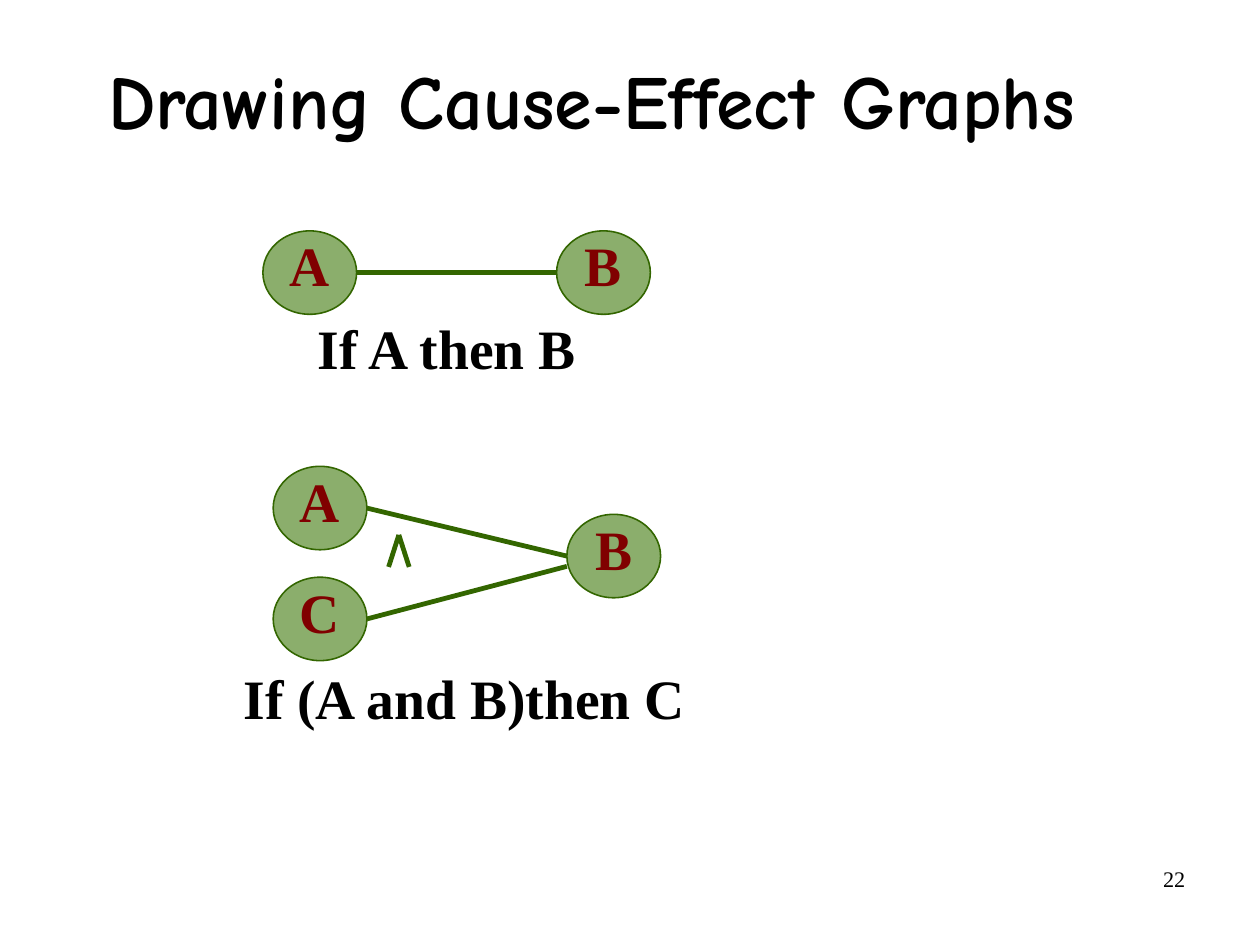
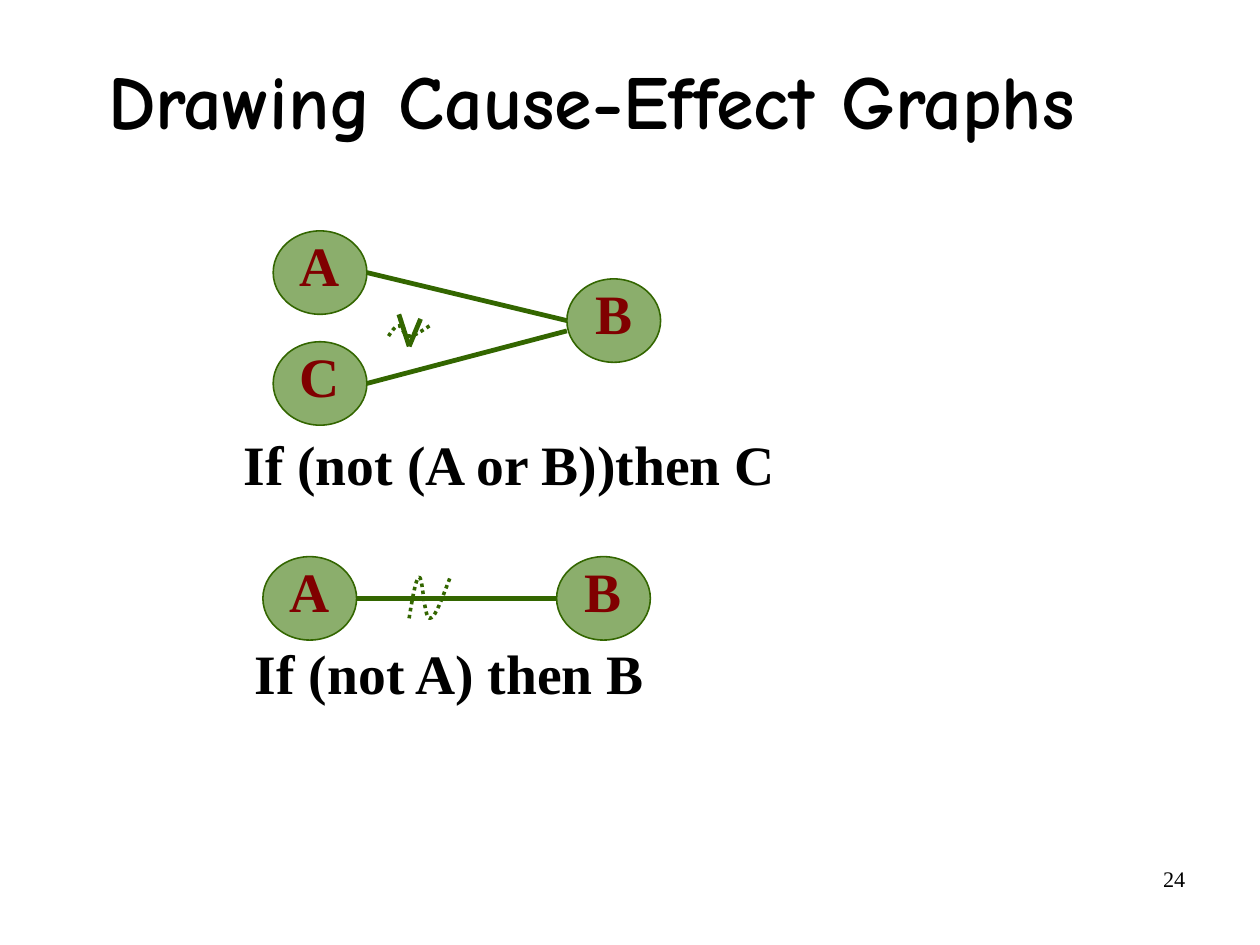
"""Build two slides that show how cause-effect graphs are drawn."""
from typing import NamedTuple

from pptx import Presentation
from pptx.dml.color import RGBColor
from pptx.enum.dml import MSO_LINE
from pptx.enum.shapes import MSO_CONNECTOR, MSO_SHAPE
from pptx.enum.text import MSO_ANCHOR, MSO_AUTO_SIZE, PP_ALIGN
from pptx.oxml.ns import qn
from pptx.slide import Slide
from pptx.text.text import TextFrame
from pptx.util import Inches, Pt

WHITE = RGBColor(0xFF, 0xFF, 0xFF)
BLACK = RGBColor(0x00, 0x00, 0x00)
NODE_FILL = RGBColor(0x8B, 0xAE, 0x6C)
EDGE_GREEN = RGBColor(0x33, 0x66, 0x00)
LABEL_RED = RGBColor(0x80, 0x00, 0x00)

SLIDE_WIDTH, SLIDE_HEIGHT = Pt(793.75), Pt(595.25)
TITLE = "Drawing Cause-Effect Graphs"
TITLE_FONT = "Comic Neue"
BODY_FONT = "Times New Roman"
NODE_WIDTH, NODE_HEIGHT = 0.82, 0.73
NODE_GAP = 2.57
SINGLE_LEFT, JOINED_LEFT = 2.3, 2.39
EFFECT_DROP, SECOND_DROP = 0.42, 0.97
EDGE_SPREAD = 0.09
TITLE_ONLY = 5

Point = tuple[float, float]


class TextStyle(NamedTuple):
    """Font and paragraph settings of a text."""
    size: float
    color: RGBColor = BLACK
    font: str = BODY_FONT
    bold: bool = True
    align: PP_ALIGN = PP_ALIGN.LEFT
    spacing: float = 1.0
    before: float = 0
    anchor: MSO_ANCHOR = MSO_ANCHOR.TOP
    inset_x: float = 0.02
    inset_y: float = 0.06


TITLE_STYLE = TextStyle(48, font=TITLE_FONT, align=PP_ALIGN.CENTER, spacing=0.94,
                        before=5.2, anchor=MSO_ANCHOR.MIDDLE)
NODE_STYLE = TextStyle(35, LABEL_RED, align=PP_ALIGN.CENTER, spacing=0.72,
                       before=7.9, anchor=MSO_ANCHOR.MIDDLE)
CAPTION_STYLE = TextStyle(35, spacing=0.72, before=20.1)
NUMBER_STYLE = TextStyle(14, bold=False, align=PP_ALIGN.RIGHT, inset_x=0.1, inset_y=0.05)


class Caption(NamedTuple):
    """Text with its place."""
    text: str
    left: float
    top: float
    width: float


class Wave(NamedTuple):
    """Dotted negation sign."""
    left: float
    top: float
    height: float


class Graph(NamedTuple):
    """Cause-effect graph with one or two causes."""
    top: float
    causes: str
    caption: Caption
    operator: tuple[Point, ...] = ()
    negation: Wave | None = None


class Page(NamedTuple):
    """Slide number and the graphs on the slide."""
    number: str
    graphs: tuple[Graph, ...]


PAGES = (
    Page("22", (
        Graph(2.02, "A", Caption("If A then B", 2.76, 2.84, 3.67)),
        Graph(4.08, "AC", Caption("If (A and B)then C", 2.11, 5.9, 4.77),
              operator=((3.4, 4.96), (3.49, 4.68), (3.58, 4.96))),
    )),
    Page("24", (
        Graph(2.02, "AC", Caption("If (not (A or B))then C", 2.11, 3.85, 5.32),
              operator=((3.49, 2.75), (3.58, 3.03), (3.68, 2.79)),
              negation=Wave(3.4, 2.85, 0.09)),
        Graph(4.87, "A", Caption("If (not A) then B", 2.21, 5.68, 4.04),
              negation=Wave(3.58, 5.05, 0.36)),
    )),
)
WAVE_CURVES = (
    ((0, 1), (0.03, 0.5), (0.06, 0), (0.09, 0)),
    ((0.09, 0), (0.12, 0), (0.13, 1), (0.18, 1)),
    ((0.18, 1), (0.23, 1), (0.29, 0.5), (0.36, 0)),
)
CURVE_STEPS = 10


def write(frame: TextFrame, text: str, style: TextStyle) -> None:
    """Fill a text frame with one styled run."""
    frame.auto_size = MSO_AUTO_SIZE.NONE
    frame.word_wrap = True
    frame.vertical_anchor = style.anchor
    frame.margin_left = frame.margin_right = Inches(style.inset_x)
    frame.margin_top = frame.margin_bottom = Inches(style.inset_y)
    paragraph = frame.paragraphs[0]
    paragraph.alignment = style.align
    paragraph.line_spacing = style.spacing
    paragraph.space_before = Pt(style.before)
    run = paragraph.add_run()
    run.text = text
    run.font.name = style.font
    run.font.size = Pt(style.size)
    run.font.bold = style.bold
    run.font.color.rgb = style.color


def add_text(slide: Slide, caption: Caption, height: float, style: TextStyle) -> None:
    """Add a text box."""
    box = slide.shapes.add_textbox(Inches(caption.left), Inches(caption.top),
                                   Inches(caption.width), Inches(height))
    write(box.text_frame, caption.text, style)


def add_title(slide: Slide) -> None:
    """Place and fill the title placeholder."""
    title = slide.shapes.title
    title.left, title.top = Inches(0.49), Inches(0.22)
    title.width, title.height = Inches(9.37), Inches(1.37)
    write(title.text_frame, TITLE, TITLE_STYLE)


def add_node(slide: Slide, label: str, left: float, top: float) -> None:
    """Add a labelled ellipse."""
    node = slide.shapes.add_shape(MSO_SHAPE.OVAL, Inches(left), Inches(top),
                                  Inches(NODE_WIDTH), Inches(NODE_HEIGHT))
    node.shadow.inherit = False
    node.fill.solid()
    node.fill.fore_color.rgb = NODE_FILL
    node.line.color.rgb = EDGE_GREEN
    node.line.width = Pt(1)
    write(node.text_frame, label, NODE_STYLE)


def add_edge(slide: Slide, start: Point, end: Point) -> None:
    """Add a straight green line."""
    edge = slide.shapes.add_connector(MSO_CONNECTOR.STRAIGHT,
                                      *(Inches(value) for value in start + end))
    edge.line.color.rgb = EDGE_GREEN
    edge.line.width = Pt(3)
    properties = edge._element.spPr
    properties.append(properties.makeelement(qn("a:effectLst"), {}))


def curve_point(curve: tuple[Point, ...], t: float) -> Point:
    """Return the point of a cubic curve at t."""
    weights = ((1 - t) ** 3, 3 * t * (1 - t) ** 2, 3 * t * t * (1 - t), t ** 3)
    return (sum(w * x for w, (x, _) in zip(weights, curve)),
            sum(w * y for w, (_, y) in zip(weights, curve)))


def add_wave(slide: Slide, wave: Wave) -> None:
    """Add a dotted negation wave."""
    unit_points = [curve_point(curve, step / CURVE_STEPS)
                   for curve in WAVE_CURVES for step in range(CURVE_STEPS + 1)]
    points = [(Inches(wave.left + x), Inches(wave.top + wave.height * y))
              for x, y in unit_points]
    builder = slide.shapes.build_freeform(*points[0])
    builder.add_line_segments(points[1:], close=False)
    sign = builder.convert_to_shape()
    sign.shadow.inherit = False
    sign.fill.background()
    sign.line.color.rgb = EDGE_GREEN
    sign.line.width = Pt(2.25)
    sign.line.dash_style = MSO_LINE.ROUND_DOT


def add_graph(slide: Slide, graph: Graph) -> None:
    """Draw nodes, edges, signs and the caption of a graph."""
    joined = len(graph.causes) > 1
    left = JOINED_LEFT if joined else SINGLE_LEFT
    effect_left = left + NODE_GAP
    effect_top = graph.top + (EFFECT_DROP if joined else 0)
    add_node(slide, "B", effect_left, effect_top)
    for index, cause in enumerate(graph.causes):
        top = graph.top + index * SECOND_DROP
        add_node(slide, cause, left, top)
        add_edge(slide, (left + NODE_WIDTH, top + NODE_HEIGHT / 2),
                 (effect_left, effect_top + NODE_HEIGHT / 2 + index * EDGE_SPREAD))
    for start, end in zip(graph.operator, graph.operator[1:]):
        add_edge(slide, start, end)
    if graph.negation:
        add_wave(slide, graph.negation)
    add_text(slide, graph.caption, 0.69, CAPTION_STYLE)


def main() -> None:
    """Build and save the presentation."""
    deck = Presentation()
    deck.slide_width = SLIDE_WIDTH
    deck.slide_height = SLIDE_HEIGHT
    background = deck.slide_master.background.fill
    background.solid()
    background.fore_color.rgb = WHITE
    for page in PAGES:
        slide = deck.slides.add_slide(deck.slide_layouts[TITLE_ONLY])
        add_title(slide)
        for graph in page.graphs:
            add_graph(slide, graph)
        add_text(slide, Caption(page.number, 7.9, 7.52, 2.57), 0.57, NUMBER_STYLE)
    deck.save("out.pptx")


if __name__ == "__main__":
    main()
